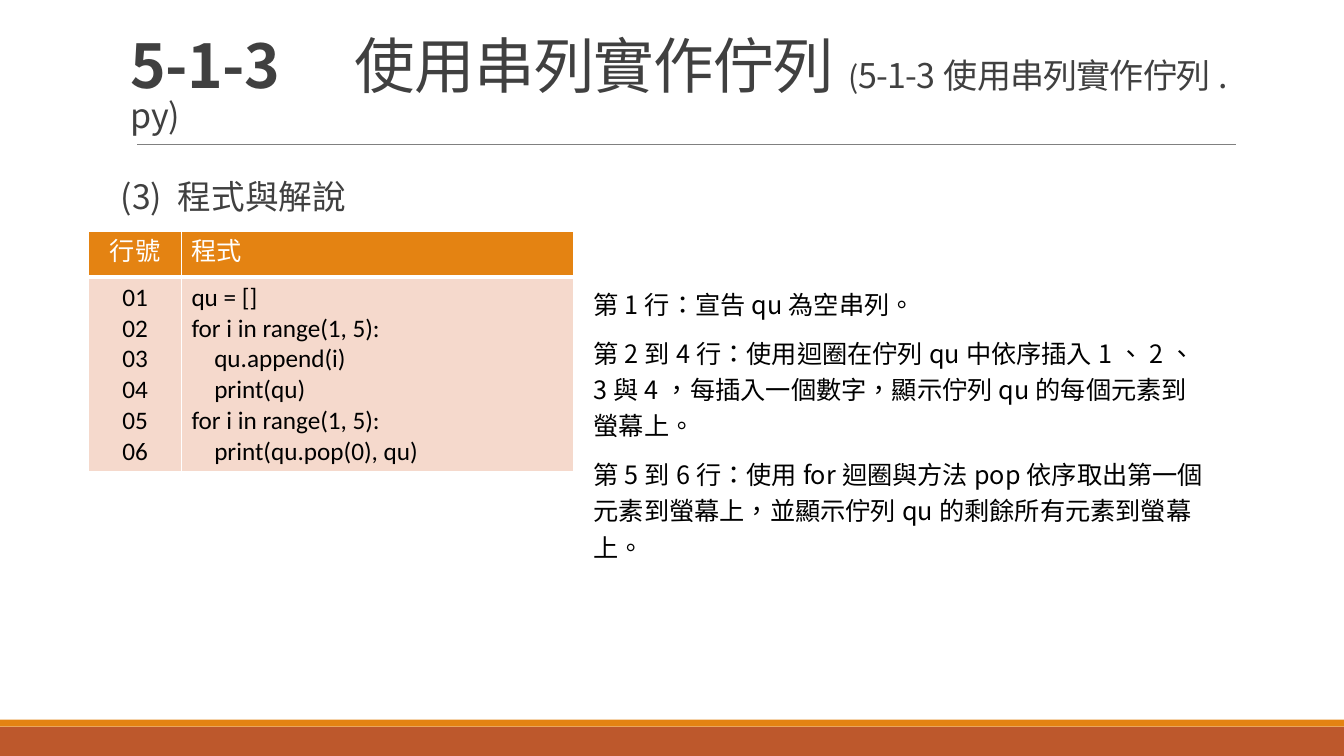
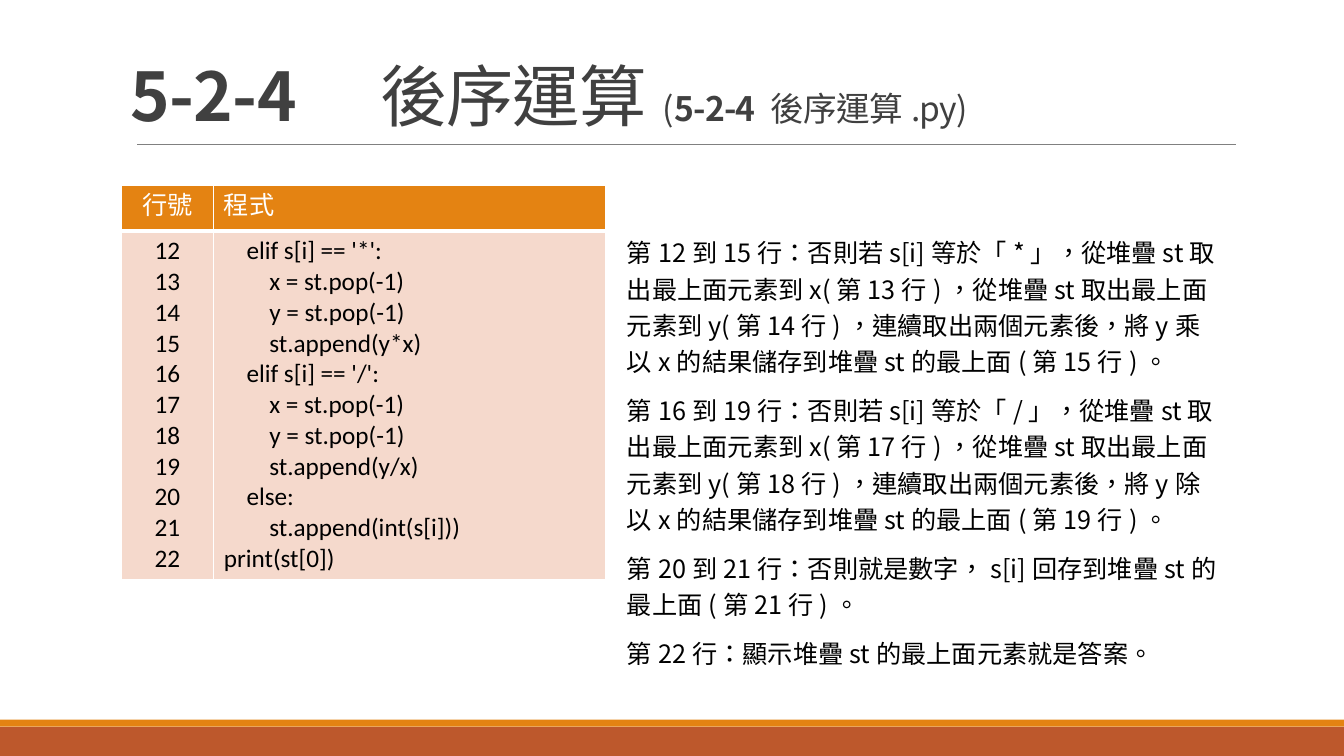
"""Build two lesson slides that pair a code table with its explanation."""
from dataclasses import dataclass
from typing import Any, Optional

import lxml.etree
import pptx
import pptx.dml.color
import pptx.enum.lang
import pptx.enum.shapes
import pptx.enum.text
import pptx.oxml.ns
import pptx.util

Inches = pptx.util.Inches
Align = pptx.enum.text.PP_ALIGN
Anchor = pptx.enum.text.MSO_ANCHOR
qn = pptx.oxml.ns.qn


@dataclass(frozen=True)
class Theme:
    text_font: str = "Noto Sans CJK SC"
    code_font: str = "Calibri"
    heading: str = "404040"
    black: str = "000000"
    white: str = "FFFFFF"
    rule: str = "808080"
    orange: str = "E48312"
    rust: str = "BD582C"
    code_fill: str = "F5D9CC"
    subheading_size: float = 24
    text_size: float = 18


THEME = Theme()


@dataclass(frozen=True)
class Box:
    left: float
    top: float
    width: float
    height: float

    def lengths(self) -> tuple[int, ...]:
        return tuple(Inches(value) for value in (self.left, self.top, self.width, self.height))


@dataclass(frozen=True)
class TitleRun:
    text: str
    size: float
    bold: bool = False


@dataclass(frozen=True)
class Lesson:
    title: list[TitleRun]
    table_left: float
    table_top: float
    first_line: int
    code: list[str]
    explanation_box: Box
    explanation: list[str]
    subheading: Optional[str] = None


LESSONS = [
    Lesson(
        title=[
            TitleRun("5-1-3　", 43.2, True),
            TitleRun("使用串列實作佇列", 43.2),
            TitleRun("(", 21.6),
            TitleRun("5-1-3使用串列實作佇列.py)", 24.3),
        ],
        table_left=0.88,
        table_top=2.3,
        first_line=1,
        code=[
            "qu = []",
            "for i in range(1, 5):",
            "    qu.append(i)",
            "    print(qu)",
            "for i in range(1, 5):",
            "    print(qu.pop(0), qu)",
        ],
        explanation_box=Box(5.79, 2.76, 6.32, 2.14),
        explanation=[
            "第1行：宣告qu為空串列。",
            "第2到4行：使用迴圈在佇列qu中依序插入1、2、3與4，每插入一個數字，顯示佇列qu的每個元素到螢幕上。",
            "第5到6行：使用for迴圈與方法pop依序取出第一個元素到螢幕上，並顯示佇列qu的剩餘所有元素到螢幕上。",
        ],
        subheading="(3) 程式與解說",
    ),
    Lesson(
        title=[
            TitleRun("5-2-4　", 48, True),
            TitleRun("後序運算", 48),
            TitleRun("(", 24),
            TitleRun("5-2-4 ", 24, True),
            TitleRun("後序運算.py)", 24),
        ],
        table_left=1.2,
        table_top=1.84,
        first_line=12,
        code=[
            "    elif s[i] == '*':",
            "        x = st.pop(-1)",
            "        y = st.pop(-1)",
            "        st.append(y*x)",
            "    elif s[i] == '/':",
            "        x = st.pop(-1)",
            "        y = st.pop(-1)",
            "        st.append(y/x)",
            "    else:",
            "        st.append(int(s[i]))",
            "print(st[0])",
        ],
        explanation_box=Box(6.12, 2.25, 6.08, 4.48),
        explanation=[
            "第12到15行：否則若s[i]等於「*」，從堆疊st取出最上面元素到x(第13行)，從堆疊st取出最上面元素到y(第14行)，"
            "連續取出兩個元素後，將y乘以x的結果儲存到堆疊st的最上面(第15行)。",
            "第16到19行：否則若s[i]等於「/」，從堆疊st取出最上面元素到x(第17行)，從堆疊st取出最上面元素到y(第18行)，"
            "連續取出兩個元素後，將y除以x的結果儲存到堆疊st的最上面(第19行)。",
            "第20到21行：否則就是數字，s[i]回存到堆疊st的最上面(第21行)。",
            "第22行：顯示堆疊st的最上面元素就是答案。",
        ],
    ),
]


def rgb(color: str) -> pptx.dml.color.RGBColor:
    return pptx.dml.color.RGBColor.from_string(color)


def add_run(paragraph: Any, text: str, *, size: float = THEME.text_size, color: str = THEME.black,
            font: str = THEME.text_font, bold: bool = False, tracking: float = 0) -> None:
    run = paragraph.add_run()
    run.text = text
    run.font.size = pptx.util.Pt(size)
    run.font.bold = bold
    run.font.color.rgb = rgb(color)
    run.font.name = font
    run.font.language_id = pptx.enum.lang.MSO_LANGUAGE_ID.TRADITIONAL_CHINESE
    properties = run._r.get_or_add_rPr()
    if tracking:
        properties.set("spc", str(round(tracking * 100)))
    lxml.etree.SubElement(properties, qn("a:ea")).set("typeface", font)


def write_paragraphs(frame: Any, texts: list[str], *, align: Align = Align.LEFT, line_spacing: float = 1.0,
                     before: float = 0, after: float = 0, **run_format: Any) -> None:
    for index, text in enumerate(texts):
        paragraph = frame.add_paragraph() if index else frame.paragraphs[0]
        paragraph.alignment = align
        paragraph.line_spacing = line_spacing
        paragraph.space_before = pptx.util.Pt(before if index else 0)
        paragraph.space_after = pptx.util.Pt(after)
        add_run(paragraph, text, **run_format)


def add_frame(slide: Any, box: Box, *, anchor: Anchor = Anchor.TOP, side_inset: float = 0.1) -> Any:
    frame = slide.shapes.add_textbox(*box.lengths()).text_frame
    frame.word_wrap = True
    frame.vertical_anchor = anchor
    frame.margin_left = frame.margin_right = Inches(side_inset)
    return frame


def add_backdrop(slide: Any) -> None:
    bands = [(Box(0, 7.21, 13.33, 0.29), THEME.rust), (Box(0, 7.14, 13.33, 0.07), THEME.orange)]
    for box, color in bands:
        band = slide.shapes.add_shape(pptx.enum.shapes.MSO_SHAPE.RECTANGLE, *box.lengths())
        band.shadow.inherit = False
        band.fill.solid()
        band.fill.fore_color.rgb = rgb(color)
        band.line.fill.background()
    rule = slide.shapes.add_connector(pptx.enum.shapes.MSO_CONNECTOR.STRAIGHT,
                                      Inches(1.36), Inches(1.43), Inches(12.26), Inches(1.43))
    rule.line.color.rgb = rgb(THEME.rule)
    rule.line.width = pptx.util.Pt(0.5)
    lxml.etree.SubElement(rule._element.spPr, qn("a:effectLst"))


def add_title(slide: Any, runs: list[TitleRun]) -> None:
    frame = add_frame(slide, Box(1.2, 0.31, 11, 1.08), anchor=Anchor.BOTTOM)
    paragraph = frame.paragraphs[0]
    paragraph.line_spacing = 0.85
    for run in runs:
        add_run(paragraph, run.text, size=run.size, bold=run.bold, color=THEME.heading, tracking=-0.5)


def format_cell(cell: Any, fill: str, bottom_width: float) -> None:
    cell.fill.solid()
    cell.fill.fore_color.rgb = rgb(fill)
    properties = cell._tc.get_or_add_tcPr()
    for index, side in enumerate("LRTB"):
        width = bottom_width if side == "B" else 1
        border = lxml.etree.Element(qn(f"a:ln{side}"), w=str(pptx.util.Pt(width)))
        solid = lxml.etree.SubElement(border, qn("a:solidFill"))
        lxml.etree.SubElement(solid, qn("a:srgbClr")).set("val", THEME.white)
        properties.insert(index, border)


def add_code_table(slide: Any, lesson: Lesson) -> None:
    widths = [0.92, 3.89]
    heights = [0.45, round(0.1 + 0.305 * len(lesson.code), 2)]
    box = Box(lesson.table_left, lesson.table_top, sum(widths), sum(heights))
    table = slide.shapes.add_table(2, 2, *box.lengths()).table
    table.horz_banding = False
    for column, width in zip(table.columns, widths):
        column.width = Inches(width)
    for row, height in zip(table.rows, heights):
        row.height = Inches(height)
    numbers = [f"{lesson.first_line + offset:02d}" for offset in range(len(lesson.code))]
    columns = [("行號", numbers, Align.CENTER), ("程式", lesson.code, Align.LEFT)]
    for index, (heading, lines, align) in enumerate(columns):
        header, body = table.cell(0, index), table.cell(1, index)
        write_paragraphs(header.text_frame, [heading], align=align, font=THEME.code_font, color=THEME.white)
        write_paragraphs(body.text_frame, lines, align=align, font=THEME.code_font)
        format_cell(header, THEME.orange, 3)
        format_cell(body, THEME.code_fill, 1)


def add_lesson(presentation: Any, lesson: Lesson) -> None:
    slide = presentation.slides.add_slide(presentation.slide_layouts[6])
    add_backdrop(slide)
    add_title(slide, lesson.title)
    if lesson.subheading:
        frame = add_frame(slide, Box(1.2, 1.5, 11, 0.7), side_inset=0)
        write_paragraphs(frame, [lesson.subheading], line_spacing=1.5, after=3,
                         size=THEME.subheading_size, color=THEME.heading)
    add_code_table(slide, lesson)
    write_paragraphs(add_frame(slide, lesson.explanation_box), lesson.explanation,
                     line_spacing=1.2, before=6, after=3)


def main() -> None:
    presentation = pptx.Presentation()
    presentation.slide_width = Inches(13.33)
    presentation.slide_height = Inches(7.5)
    for lesson in LESSONS:
        add_lesson(presentation, lesson)
    presentation.save("out.pptx")


if __name__ == "__main__":
    main()
